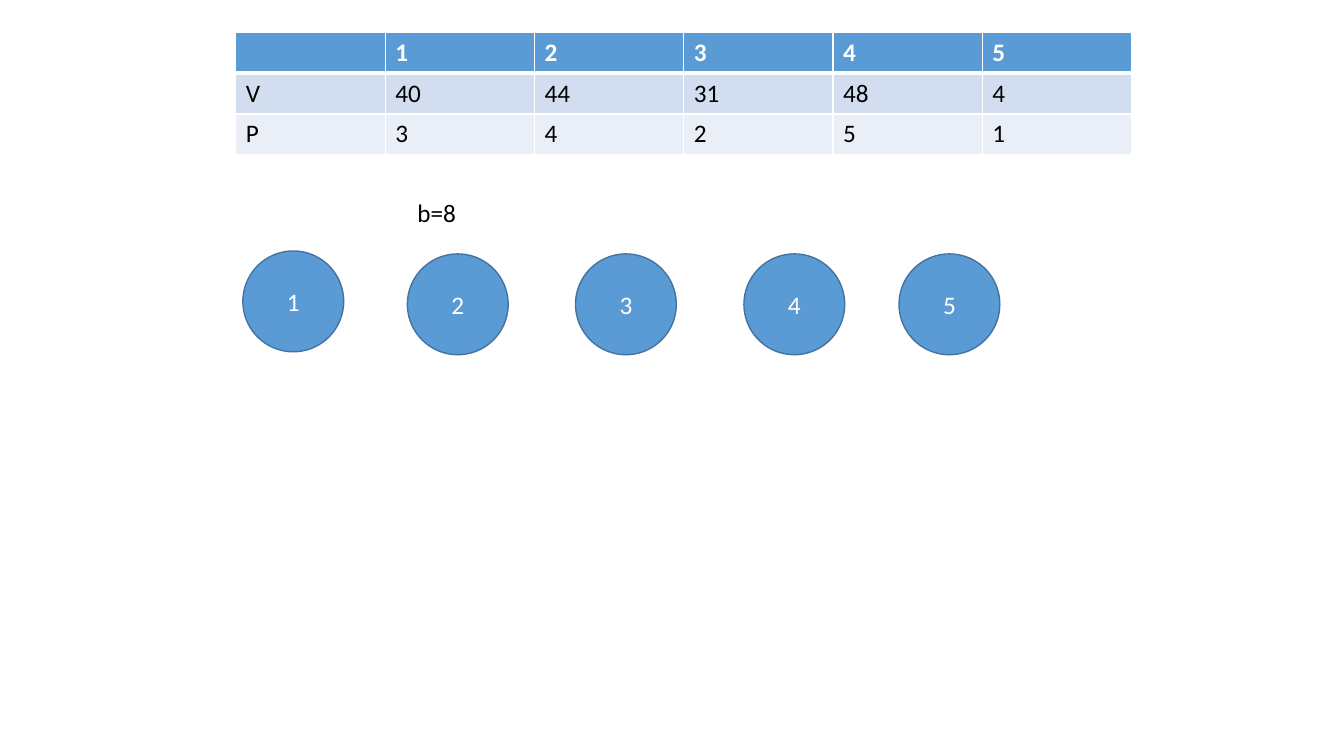
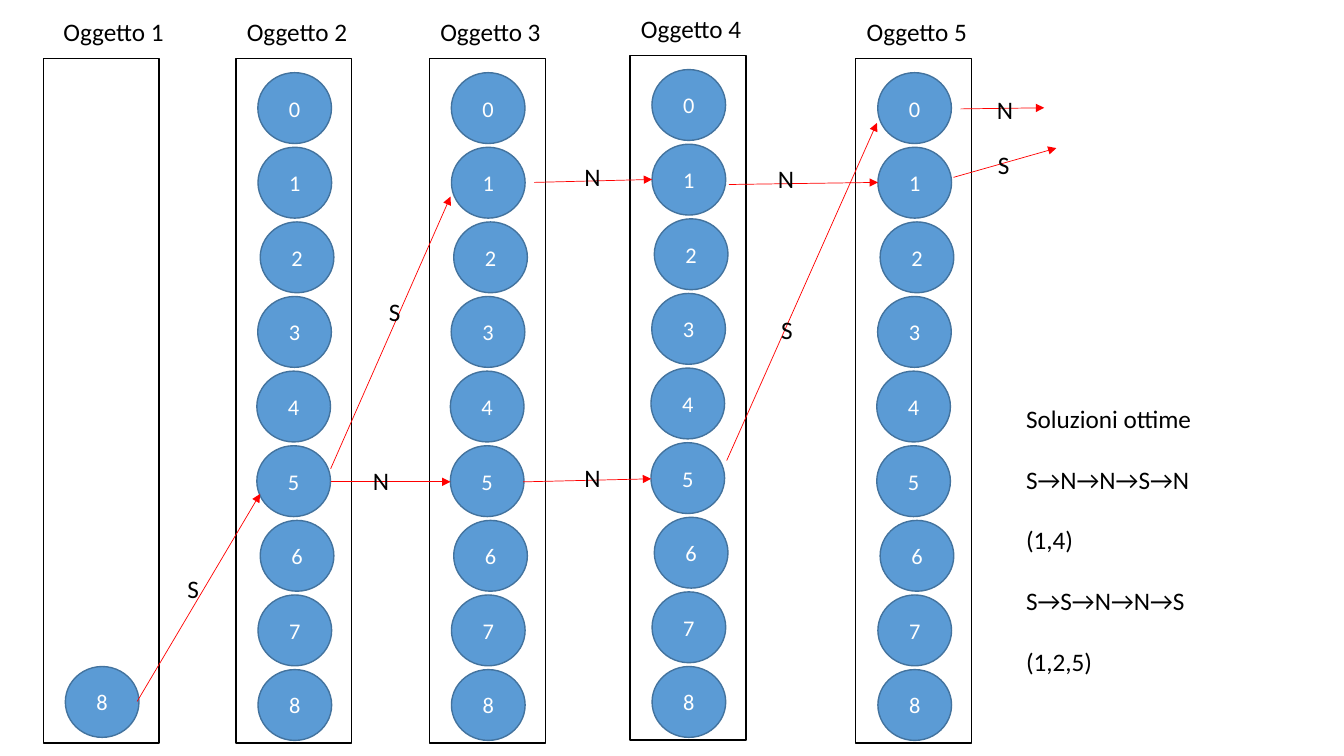
from pptx import Presentation
from pptx.dml.color import RGBColor
from pptx.enum.shapes import MSO_CONNECTOR, MSO_SHAPE
from pptx.enum.text import MSO_ANCHOR, PP_ALIGN
from pptx.oxml.ns import qn
from pptx.util import Pt
from lxml.etree import SubElement

LINE = MSO_CONNECTOR.STRAIGHT
OVAL, RECT = MSO_SHAPE.OVAL, MSO_SHAPE.RECTANGLE
MIDDLE = MSO_ANCHOR.MIDDLE
LEFT, CENTER = PP_ALIGN.LEFT, PP_ALIGN.CENTER

FONT = "Calibri"
HUES = {
    "blue": "5B9BD5", "edge": "43739E", "light": "D2DEEF", "pale": "EAEFF7",
    "white": "FFFFFF", "black": "000000", "red": "FF0000",
}

GRID = [
    ["", "1", "2", "3", "4", "5"],
    ["V", "40", "44", "31", "48", "4"],
    ["P", "3", "4", "2", "5", "1"],
]
DISCS = [(173.5, 179.3), (291, 181.4), (411.1, 181.4), (531.4, 181.4), (642.2, 181.4)]

STATES = range(9)
STEP = 53.3
SHIFTS = [15.7, 15.8, 17.4, 15.6, 15, 15, 17.4, 15.8, 15.8]
LANES = [(168.5, 41.8), (306.7, 41.8), (450, 39.6), (611.3, 41.8)]
ARROWS = [
    (98, 501, 185.8, 352.8), (236.2, 344.2, 321.8, 344.2),
    (236.2, 334.8, 321.8, 140.4), (373.7, 344.2, 465.1, 342),
    (381.6, 130.3, 465.8, 128.2), (519.1, 329, 626.4, 87.8),
    (520.6, 131.8, 627.1, 130.3), (686.2, 77.8, 745.9, 77),
    (681.1, 126.7, 754.6, 105.8),
]
MARKS = [
    ("S", 126.7, 406.1), ("S", 270.7, 208.1), ("N", 259.2, 329),
    ("N", 410.4, 111.6), ("N", 410.4, 326.9), ("S", 550.8, 221),
    ("N", 548.6, 113), ("N", 704.9, 64.1), ("S", 705.6, 103),
]
ANSWERS = ["Soluzioni ottime", "S→N→N→S→N", "(1,4)", "S→S→N→N→S", "(1,2,5)"]


def hue(name):
    """Return the named colour."""
    return RGBColor.from_string(HUES[name])


def write(frame, text, size=18, color="black", bold=False, align=LEFT, gap=0):
    """Fill a text frame, one paragraph for each line."""
    for i, line in enumerate(text.split("\n")):
        para = frame.add_paragraph() if i else frame.paragraphs[0]
        para.alignment = align
        para.space_after = Pt(gap)
        run = para.add_run()
        run.text = line
        font = run.font
        font.name, font.size, font.bold = FONT, Pt(size), bold
        font.color.rgb = hue(color)


def label(slide, text, x, y, w, h=29, **style):
    """Place a text box."""
    frame = slide.shapes.add_textbox(Pt(x), Pt(y), Pt(w), Pt(h)).text_frame
    frame.word_wrap = False
    write(frame, text, **style)


def shape(slide, kind, x, y, w, h, fill=None, edge="black"):
    """Place a flat preset shape."""
    item = slide.shapes.add_shape(kind, Pt(x), Pt(y), Pt(w), Pt(h))
    item.shadow.inherit = False
    if fill:
        item.fill.solid()
        item.fill.fore_color.rgb = hue(fill)
    else:
        item.fill.background()
    item.line.color.rgb = hue(edge)
    item.line.width = Pt(1)
    return item


def disc(slide, text, x, y, w, h, size):
    """Place a blue disc with a white number."""
    frame = shape(slide, OVAL, x, y, w, h, "blue", "edge").text_frame
    frame.vertical_anchor = MIDDLE
    write(frame, text, size=size, color="white", align=CENTER)


def arrow(slide, x, y, to_x, to_y):
    """Draw a thin red arrow."""
    item = slide.shapes.add_connector(LINE, Pt(x), Pt(y), Pt(to_x), Pt(to_y))
    item.line.color.rgb = hue("red")
    item.line.width = Pt(0.5)
    SubElement(item.line._get_or_add_ln(), qn("a:tailEnd"), type="triangle")
    SubElement(item._element.spPr, qn("a:effectLst"))


def border(cell, side, width):
    """Give one side of a cell a white border."""
    props = cell._tc.get_or_add_tcPr()
    edge = SubElement(props, qn("a:ln" + side), w=str(Pt(width)))
    fill = SubElement(edge, qn("a:solidFill"))
    SubElement(fill, qn("a:srgbClr"), val=HUES["white"])


def table(slide, x, y, w, h):
    """Place the table of values and weights."""
    rows, cols = len(GRID), len(GRID[0])
    grid = slide.shapes.add_table(rows, cols, Pt(x), Pt(y), Pt(w), Pt(h)).table
    for r, fill in enumerate(["blue", "light", "pale"]):
        for c, text in enumerate(GRID[r]):
            cell = grid.cell(r, c)
            for side in "LRTB":
                thick = (r, side) in [(0, "B"), (1, "T")]
                border(cell, side, 3 if thick else 1)
            cell.fill.solid()
            cell.fill.fore_color.rgb = hue(fill)
            if text:
                color = "black" if r else "white"
                write(cell.text_frame, text, color=color, bold=r == 0)


def lane(slide, name, x, y, states, drop=10.1, inset=0.7):
    """Place a titled column with a disc for each state."""
    shape(slide, RECT, x, y, 82.8, 488.9)
    label(slide, name, x + inset, y - 33.8, 87.1)
    for state in states:
        top = y + drop + state * STEP
        disc(slide, str(state), x + SHIFTS[state], top, 52.6, 50.6, 16)


def data(slide):
    """Build the slide with the data of the problem."""
    table(slide, 168.5, 23, 640, 87.6)
    label(slide, "b=8", 291, 137.5, 42.5)
    for i, (x, y) in enumerate(DISCS, 1):
        disc(slide, str(i), x, y, 72, 72, 18)


def graph(slide):
    """Build the slide with the graph of states."""
    lane(slide, "Oggetto 1", 30.9, 41.8, STATES[-1:], drop=7.9, inset=7.3)
    for i, (x, y) in enumerate(LANES, 2):
        lane(slide, f"Oggetto {i}", x, y, STATES)
    for ends in ARROWS:
        arrow(slide, *ends)
    for text, x, y in MARKS:
        label(slide, text, x, y, 23 if text == "S" else 26)
    label(slide, "\n".join(ANSWERS), 725.8, 284.4, 137.5, 204, gap=21.8)


def main():
    """Build and save the slides."""
    deck = Presentation()
    deck.slide_width, deck.slide_height = Pt(960), Pt(540)
    for build in (data, graph):
        build(deck.slides.add_slide(deck.slide_layouts[6]))
    deck.save("out.pptx")


if __name__ == "__main__":
    main()
